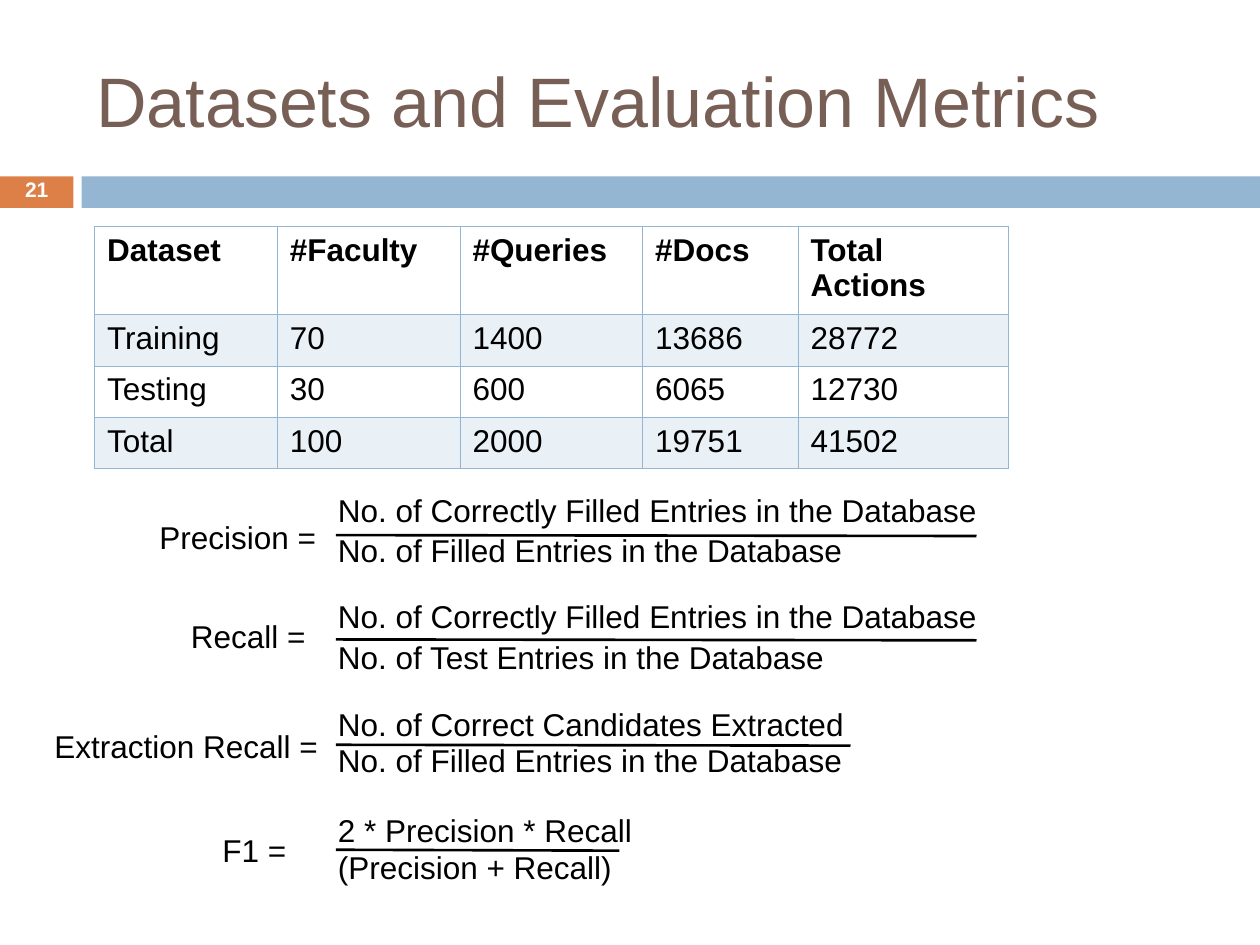
"""Build the slide on datasets and evaluation metrics."""
from lxml.etree import SubElement
from pptx import Presentation
from pptx.dml.color import RGBColor
from pptx.enum.shapes import MSO_CONNECTOR, MSO_SHAPE
from pptx.enum.text import MSO_ANCHOR, PP_ALIGN
from pptx.oxml.ns import qn
from pptx.util import Pt

BROWN = RGBColor(0x77, 0x5F, 0x55)
ORANGE = RGBColor(0xDD, 0x80, 0x47)
BLUE = RGBColor(0x94, 0xB6, 0xD2)
BLACK = RGBColor(0, 0, 0)
WHITE = RGBColor(0xFF, 0xFF, 0xFF)


def set_font(paragraph, size, color, bold=False):
    font = paragraph.font
    font.name, font.size, font.bold = "Arial", Pt(size), bold
    font.color.rgb = color


def add_text(text, left, top, width, height=28.8, size=18, color=BLACK, bold=False):
    box = page.shapes.add_textbox(Pt(left), Pt(top), Pt(width), Pt(height))
    box.text_frame.word_wrap = True
    box.text_frame.text = text
    set_font(box.text_frame.paragraphs[0], size, color, bold)
    return box.text_frame


deck = Presentation()
deck.slide_width, deck.slide_height = Pt(720), Pt(540)
page = deck.slides.add_slide(deck.slide_layouts[6])

for left, width, color in ((0, 42, ORANGE), (46.6, 673.4, BLUE)):
    band = page.shapes.add_shape(MSO_SHAPE.RECTANGLE, Pt(left), Pt(100.8), Pt(width), Pt(18))
    band.shadow.inherit = False
    band.fill.solid()
    band.fill.fore_color.rgb = color
    band.line.fill.background()

title = add_text("Datasets and Evaluation Metrics", 48, 18, 642, 78, 40, BROWN)
title.vertical_anchor = MSO_ANCHOR.MIDDLE

number = add_text("21", 0, 100, 42, 19.4, 12, WHITE, True)
number.vertical_anchor = MSO_ANCHOR.MIDDLE
number.paragraphs[0].alignment = PP_ALIGN.CENTER
number.paragraphs[0].line_spacing = 0.8

rows = (
    ("Dataset", "#Faculty", "#Queries", "#Docs", "Total Actions"),
    ("Training", "70", "1400", "13686", "28772"),
    ("Testing", "30", "600", "6065", "12730"),
    ("Total", "100", "2000", "19751", "41502"),
)
column_widths = (104.4, 104.4, 104.4, 88.8, 120)
row_heights = (50.4, 29.3, 29.3, 29.3)
table = page.shapes.add_table(
    len(rows), len(column_widths), Pt(54), Pt(129.4), Pt(sum(column_widths)), Pt(sum(row_heights))
).table
table.horz_banding = False
for column, width in zip(table.columns, column_widths):
    column.width = Pt(width)
for row_index, (values, height) in enumerate(zip(rows, row_heights)):
    table.rows[row_index].height = Pt(height)
    for column_index, value in enumerate(values):
        cell = table.cell(row_index, column_index)
        cell.text = value
        set_font(cell.text_frame.paragraphs[0], 18, BLACK, row_index == 0)
        properties = cell._tc.get_or_add_tcPr()
        for side in ("L", "R", "T", "B"):
            heavy = (row_index, side) in ((0, "B"), (1, "T"))
            border = SubElement(properties, qn(f"a:ln{side}"), w=str(Pt(0.96 if heavy else 0.45)))
            SubElement(SubElement(border, qn("a:solidFill")), qn("a:srgbClr"), val=str(BLUE))
        if row_index % 2:
            cell.fill.solid()
            cell.fill.fore_color.rgb = BLUE
            SubElement(properties.find(qn("a:solidFill"))[0], qn("a:alpha"), val="20000")
        else:
            cell.fill.background()

correct_entries = "No. of Correctly Filled Entries in the Database"
filled_entries = "No. of Filled Entries in the Database"
formulas = (
    ("Precision =", 84, 292.3, 114, correct_entries, 277.2, 414, filled_entries, 300.2, 372, 305.8, 558),
    ("Recall =", 102, 349.2, 114, correct_entries, 337.9, 384,
     "No. of Test Entries in the Database", 360.9, 324, 365.4, 558),
    ("Extraction Recall =", 24, 411.8, 180, "No. of Correct Candidates Extracted", 399.6, 312,
     filled_entries, 419.8, 330, 425.6, 486),
    ("F1 =", 120, 471.6, 84, "2 * Precision * Recall", 460, 228, "(Precision + Recall)", 481, 174, 485.6, 354),
)
for (name, name_left, name_top, name_width, numerator, numerator_top, numerator_width,
     denominator, denominator_top, denominator_width, bar_top, bar_end) in formulas:
    add_text(numerator, 186, numerator_top, numerator_width)
    bar = page.shapes.add_connector(
        MSO_CONNECTOR.STRAIGHT, Pt(192), Pt(bar_top), Pt(bar_end), Pt(bar_top + 0.5))
    bar.line.color.rgb = BLACK
    bar.line.width = Pt(1.5)
    SubElement(bar._element.spPr, qn("a:effectLst"))
    add_text(denominator, 186, denominator_top, denominator_width)
    add_text(name, name_left, name_top, name_width)

deck.save("out.pptx")
